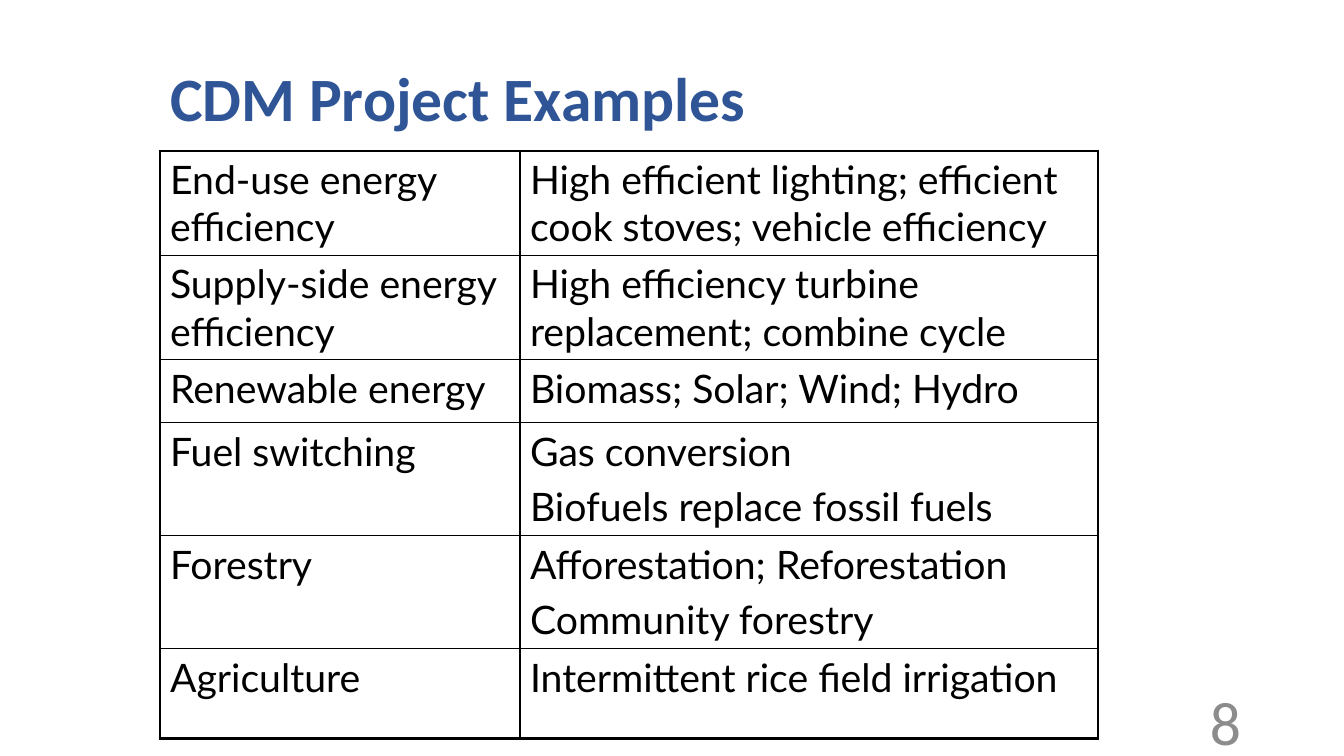
from lxml.etree import SubElement
from pptx import Presentation
from pptx.dml.color import RGBColor
from pptx.enum.text import MSO_ANCHOR, PP_ALIGN
from pptx.oxml import parse_xml
from pptx.oxml.ns import nsdecls, qn
from pptx.util import Emu, Pt

PX = 914400 / 100.8
BLUE = RGBColor(0x2F, 0x55, 0x97)
BLACK = RGBColor(0, 0, 0)
GREY = RGBColor(0x8C, 0x8C, 0x8C)
OUTER, INNER = Pt(2.25), Pt(1)

COLUMN_WIDTHS = [360, 578]
PROJECTS = [
    (104, "End-use energy efficiency",
     "High efficient lighting; efficient cook stoves; vehicle efficiency"),
    (104, "Supply-side energy efficiency",
     "High efficiency turbine replacement; combine cycle"),
    (63, "Renewable energy", "Biomass; Solar; Wind; Hydro"),
    (113, "Fuel switching", "Gas conversion\nBiofuels replace fossil fuels"),
    (113, "Forestry", "Afforestation; Reforestation\nCommunity forestry"),
    (90, "Agriculture", "Intermittent rice field irrigation"),
]


def px(length):
    return Emu(round(length * PX))


def style(paragraph, font_name, size, color, bold=False):
    font = paragraph.font
    font.name, font.size, font.bold = font_name, Pt(size), bold
    font.color.rgb = color


def place_title(slide, left, top, width, height):
    title = slide.shapes.title
    title.left, title.top = px(left), px(top)
    title.width, title.height = px(width), px(height)
    frame = title.text_frame
    frame.text = "CDM Project Examples"
    frame.vertical_anchor = MSO_ANCHOR.MIDDLE
    heading = frame.paragraphs[0]
    heading.alignment = PP_ALIGN.LEFT
    heading.line_spacing = 0.9
    style(heading, "Calibri", 44, BLUE, bold=True)


def set_borders(cell, widths):
    """Draw black borders; widths run left, right, top, bottom."""
    properties = cell._tc.get_or_add_tcPr()
    for position, (side, width) in enumerate(zip("LRTB", widths)):
        border = parse_xml(f'<a:ln{side} {nsdecls("a")} w="{width}"/>')
        fill = SubElement(border, qn("a:solidFill"))
        SubElement(fill, qn("a:srgbClr"), val=str(BLACK))
        properties.insert(position, border)


def place_projects(slide, left, top):
    heights = [height for height, *_ in PROJECTS]
    table = slide.shapes.add_table(
        len(PROJECTS), len(COLUMN_WIDTHS), px(left), px(top),
        px(sum(COLUMN_WIDTHS)), px(sum(heights))).table
    table.first_row = table.horz_banding = False
    for column, width in zip(table.columns, COLUMN_WIDTHS):
        column.width = px(width)
    last_row, last_column = len(PROJECTS) - 1, len(COLUMN_WIDTHS) - 1
    for r, (height, *texts) in enumerate(PROJECTS):
        table.rows[r].height = px(height)
        for c, text in enumerate(texts):
            cell = table.cell(r, c)
            cell.text = text
            cell.fill.background()
            for paragraph in cell.text_frame.paragraphs:
                paragraph.space_before = Pt(5.6)
                style(paragraph, "Lato", 28, BLACK)
            on_edge = (c == 0, c == last_column, r == 0, r == last_row)
            set_borders(cell, [OUTER if edge else INNER for edge in on_edge])


def place_page_number(slide, left, top, width, height):
    frame = slide.shapes.add_textbox(
        px(left), px(top), px(width), px(height)).text_frame
    frame.word_wrap = True
    frame.vertical_anchor = MSO_ANCHOR.MIDDLE
    frame.text = "8"
    number = frame.paragraphs[0]
    number.alignment = PP_ALIGN.RIGHT
    style(number, "Calibri", 44, GREY)


def main():
    deck = Presentation()
    deck.slide_width, deck.slide_height = px(1344), px(756)
    slide = deck.slides.add_slide(deck.slide_layouts.get_by_name("Title Only"))
    place_title(slide, 160, 29, 1159, 146)
    place_projects(slide, 160, 151)
    place_page_number(slide, 949, 701, 302, 40)
    deck.save("out.pptx")


if __name__ == "__main__":
    main()
